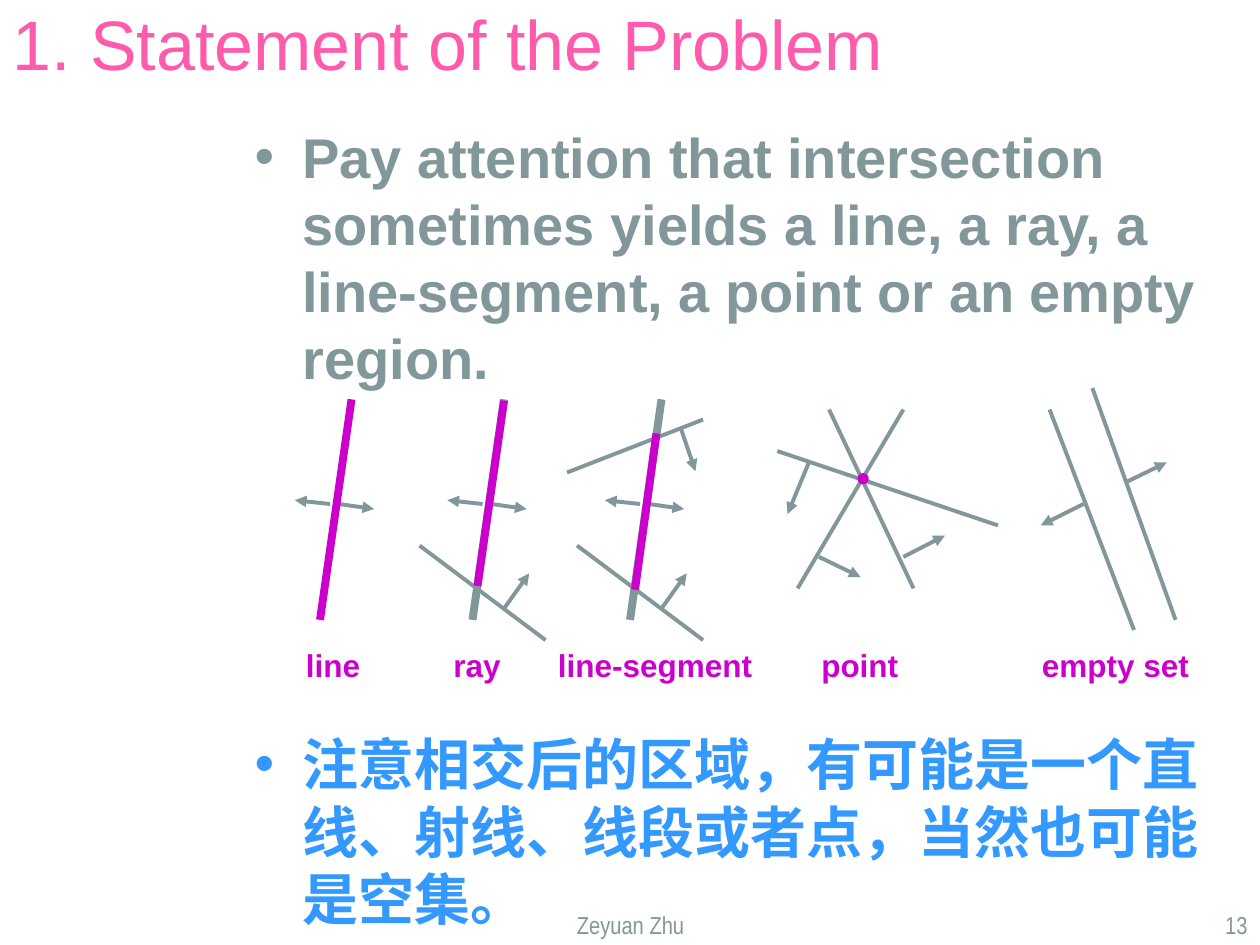
from lxml import etree
from pptx import Presentation
from pptx.dml.color import RGBColor
from pptx.enum.shapes import MSO_CONNECTOR, MSO_SHAPE
from pptx.enum.text import MSO_ANCHOR, MSO_AUTO_SIZE, PP_ALIGN
from pptx.oxml.ns import qn
from pptx.util import Inches, Pt

STRAIGHT, OVAL = MSO_CONNECTOR.STRAIGHT, MSO_SHAPE.OVAL
LEFT, CENTER, RIGHT = PP_ALIGN.LEFT, PP_ALIGN.CENTER, PP_ALIGN.RIGHT
PINK = RGBColor(0xFF, 0x5B, 0xAD)
GRAY = RGBColor(0x82, 0x97, 0x9A)
BLUE = RGBColor(0x33, 0x99, 0xFF)
MAGENTA = RGBColor(0xCC, 0x00, 0xCC)
THIN, THICK = 2.25, 4.5

# Content
TITLE = "1. Statement of the Problem"
LINE_PITCH, PARA_GAP = 38.4, 8
DIAGRAM_ROWS = 4  # text rows left free for the diagrams
BULLETS = [  # text, colour, space before
    ("Pay attention that intersection sometimes yields a line, a ray, "
     "a line-segment, a point or an empty region.", GRAY, PARA_GAP),
    ("注意相交后的区域，有可能是一个直线、射线、线段或者点，当然也可能是空集。", BLUE,
     PARA_GAP + DIAGRAM_ROWS * (LINE_PITCH + PARA_GAP)),
]
LABELS = [  # text, left, width
    ("line", 2.33, 0.67), ("ray", 3.5, 0.67), ("line-segment", 4.33, 1.75),
    ("point", 6.42, 0.92), ("empty set", 8.17, 1.42),
]
FOOTERS = [("Zeyuan Zhu", 3.42, 3.17, CENTER), ("13", 7.92, 2.08, RIGHT)]

# Diagram geometry: (x1, y1, x2, y2); slanted diagrams are relative to their foot
SLANT = (0, 4.92, 0.25, 3.17)
SLANT_ARROWS = [(0.08, 4, -0.2, 3.97), (0.15, 4, 0.43, 4.04)]
LOWER_CUT = (-0.42, 4.33, 0.58, 5.08)
LOWER_ARROW = (0.25, 4.83, 0.45, 4.55)
UPPER_CUT = (-0.5, 3.75, 0.58, 3.33)
UPPER_ARROW = (0.4, 3.39, 0.52, 3.74)
SLANTED = [  # foot x, boundaries, arrows, resulting part
    (2.54, [], [], SLANT),
    (3.75, [LOWER_CUT], [LOWER_ARROW], (0.04, 4.65, 0.25, 3.18)),
    (5, [LOWER_CUT, UPPER_CUT], [LOWER_ARROW, UPPER_ARROW], (0.04, 4.68, 0.21, 3.44)),
]
POINT_LINES = [(6.17, 3.58, 7.92, 4.17), (7.17, 3.25, 6.33, 4.67), (6.58, 3.25, 7.25, 4.67)]
POINT_ARROWS = [(7.17, 4.42, 7.5, 4.25), (6.5, 4.42, 6.83, 4.58), (6.42, 3.67, 6.25, 4.08)]
EMPTY_LINES = [(8.33, 3.25, 9, 5), (8.67, 3.08, 9.33, 4.92)]
EMPTY_ARROWS = [(8.6, 4, 8.26, 4.17), (8.93, 3.83, 9.26, 3.67)]
POINT_CENTER, POINT_SIZE = (6.85, 3.8), 0.08


def place(shape, *box):
    shape.left, shape.top, shape.width, shape.height = map(Inches, box)


def style(paragraph, size, color, bold=False, font="Arial", align=LEFT):
    paragraph.alignment = align
    paragraph.font.size = Pt(size)
    paragraph.font.name = font
    paragraph.font.bold = bold
    paragraph.font.color.rgb = color


def add_label(text, left, top, width, height, *args, **kwargs):
    box = slide.shapes.add_textbox(*map(Inches, (left, top, width, height)))
    box.text_frame.word_wrap = True
    box.text_frame.text = text
    style(box.text_frame.paragraphs[0], *args, **kwargs)


def add_line(points, foot=0, color=GRAY, weight=THIN, arrow=False):
    x1, y1, x2, y2 = points
    line = slide.shapes.add_connector(
        STRAIGHT, *map(Inches, (x1 + foot, y1, x2 + foot, y2)))
    line.line.color.rgb = color
    line.line.width = Pt(weight)
    if arrow:
        etree.SubElement(line.line._get_or_add_ln(), qn("a:tailEnd"), type="triangle")
    etree.SubElement(line._element.spPr, qn("a:effectLst"))


prs = Presentation()
prs.slide_width, prs.slide_height = Inches(10), Inches(7.5)
slide = prs.slides.add_slide(prs.slide_layouts[1])

# Title
title = slide.shapes.title
place(title, 0, 0, 8.17, 0.67)
title.text_frame.text = TITLE
title.text_frame.vertical_anchor = MSO_ANCHOR.MIDDLE
title.text_frame.auto_size = MSO_AUTO_SIZE.NONE
style(title.text_frame.paragraphs[0], 40, PINK)

# Bullets
body = slide.placeholders[1]
place(body, 1.92, 0.92, 7.92, 6.58)
body.text_frame.auto_size = MSO_AUTO_SIZE.NONE
body.text_frame.text = "\n".join(text for text, _, _ in BULLETS)
for paragraph, (_, color, gap) in zip(body.text_frame.paragraphs, BULLETS):
    style(paragraph, 32, color, bold=True)
    paragraph.space_before = Pt(gap)
    paragraph.line_spacing = Pt(LINE_PITCH)
    properties = paragraph._p.get_or_add_pPr()
    properties.set("marL", str(Inches(0.38)))
    properties.set("indent", str(-Inches(0.38)))

# Empty set and point diagrams
for points in EMPTY_LINES + POINT_LINES:
    add_line(points)
for points in EMPTY_ARROWS + POINT_ARROWS:
    add_line(points, arrow=True)
point = slide.shapes.add_shape(
    OVAL, *(Inches(c - POINT_SIZE / 2) for c in POINT_CENTER),
    Inches(POINT_SIZE), Inches(POINT_SIZE))
point.shadow.inherit = False
point.fill.solid()
point.fill.fore_color.rgb = MAGENTA
point.line.color.rgb = MAGENTA
point.line.width = Pt(0.75)

# Line, ray and line-segment diagrams
for foot, cuts, arrows, result in SLANTED:
    if result != SLANT:
        add_line(SLANT, foot, weight=THICK)
    for cut in cuts:
        add_line(cut, foot)
    for arrow in SLANT_ARROWS + arrows:
        add_line(arrow, foot, arrow=True)
    add_line(result, foot, MAGENTA, THICK)

# Diagram labels and footer
for text, left, width in LABELS:
    add_label(text, left, 5.08, width, 0.4, 18, MAGENTA, bold=True)
for text, left, width, align in FOOTERS:
    add_label(text, left, 7.17, width, 0.33, 14, GRAY, font="Arial Narrow", align=align)

prs.save("out.pptx")
